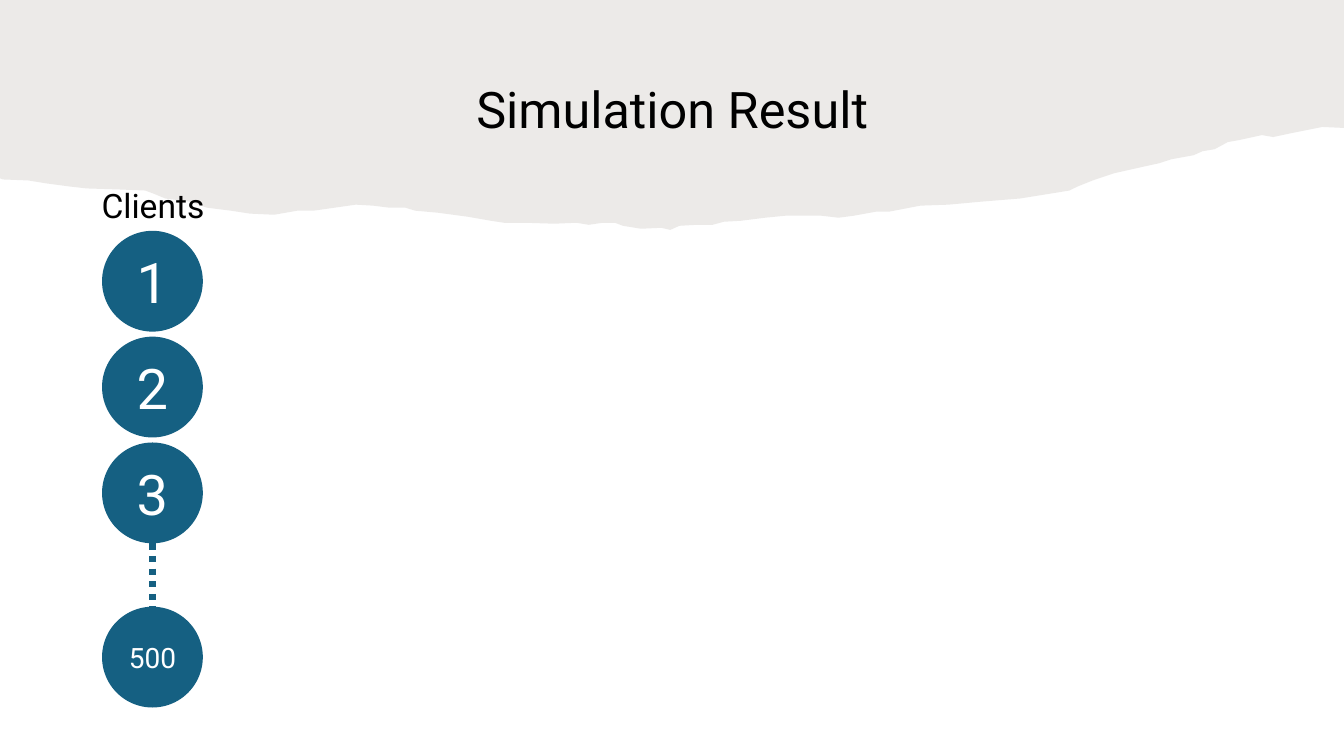
from lxml.etree import SubElement
from pptx import Presentation
from pptx.dml.color import RGBColor
from pptx.enum.dml import MSO_LINE_DASH_STYLE as Dash
from pptx.enum.shapes import MSO_CONNECTOR as Connector, MSO_SHAPE as Shape
from pptx.enum.text import MSO_ANCHOR as Anchor, MSO_AUTO_SIZE as AutoSize, PP_ALIGN as Align
from pptx.oxml.ns import qn
from pptx.util import Pt

COLORS = {"taupe": "82766A", "teal": "156082", "black": "000000", "white": "FFFFFF"}
SLIDE_WIDTH, SLIDE_HEIGHT = 960, 540
CIRCLE_LEFT, CIRCLE_SIZE = 72.9, 72
FIRST_TOP, CIRCLE_STEP, LAST_TOP = 164.9, 75.6, 433.4

# Lower edge of the torn paper, from right to left
TORN_EDGE = [
    (960, 91.4), (944.6, 90.7), (923, 95), (909.4, 97.9), (901.4, 96.5),
    (884.9, 100.1), (877, 101.5), (867.6, 106.6), (859, 108), (852.5, 110.9),
    (836.6, 113.8), (828, 116.6), (817.9, 118.8), (795.6, 123.8), (780.5, 128.9),
    (769.7, 133.2), (763.9, 136.1), (751, 138.2), (728.6, 141.8), (701.3, 144),
    (677.5, 146.2), (657.4, 146.9), (635, 151.2), (625.7, 151.2), (609.8, 154.1),
    (599, 155.5), (586.8, 154.1), (560.9, 154.1), (546.5, 155.5), (529.2, 157.7),
    (517, 158.4), (509, 160.6), (497.5, 160.6), (485.3, 161.3), (478.8, 164.2),
    (472.3, 162.7), (457.9, 163.4), (445, 161.3), (439.2, 159.1), (430.6, 159.1),
    (420.5, 160.6), (411.8, 159.1), (396, 159.8), (374.4, 159.1), (360, 159.1),
    (350.6, 157.7), (334.1, 154.8), (312.5, 151.9), (296.6, 150.5), (289.4, 148.3),
    (277.9, 148.3), (266.4, 146.9), (254.2, 146.2), (223.9, 150.5), (212.4, 150.5),
    (195.8, 153.4), (178.6, 152.6), (164.9, 150.5), (147.6, 148.3), (135.4, 144),
    (118.1, 141.8), (109.4, 138.2), (103.7, 136.1), (86.4, 135.4), (61.9, 134.6),
    (49.7, 133.2), (33.1, 131), (20.2, 128.9), (2.2, 128.2), (0, 127.4),
]


def color(name):
    return RGBColor.from_string(COLORS[name])


def set_format(target, values):
    for name, value in values.items():
        setattr(target, name, value)


def write_text(shape, text, size, color_name, frame_format, paragraph_format):
    frame = shape.text_frame
    set_format(frame, frame_format)
    paragraph = frame.paragraphs[0]
    set_format(paragraph, paragraph_format)
    run = paragraph.add_run()
    run.text = text
    set_format(run.font, {"name": "Roboto", "size": Pt(size)})
    run.font.color.rgb = color(color_name)


def paint(shape, color_name):
    shape.shadow.inherit = False
    shape.fill.solid()
    shape.fill.fore_color.rgb = color(color_name)
    shape.line.fill.background()


def add_torn_paper(slide):
    builder = slide.shapes.build_freeform(0, 0)
    outline = [(SLIDE_WIDTH, 0)] + TORN_EDGE
    builder.add_line_segments([(Pt(x), Pt(y)) for x, y in outline], close=True)
    paper = builder.convert_to_shape()
    paint(paper, "taupe")
    tint = paper.fill._xPr.find(qn("a:solidFill"))[0]
    SubElement(tint, qn("a:alpha"), val="15000")
    # The paper lies behind the title
    slide.shapes.title._element.addprevious(paper._element)


def add_title(slide, text):
    title = slide.shapes.title
    set_format(title, {"left": Pt(65.5), "top": Pt(38.9), "width": Pt(829.4), "height": Pt(64.1)})
    write_text(title, text, 36, "black",
               {"vertical_anchor": Anchor.BOTTOM, "auto_size": AutoSize.NONE},
               {"alignment": Align.CENTER, "line_spacing": 0.9})


def add_label(slide, text):
    label = slide.shapes.add_textbox(Pt(65.5), Pt(128.9), Pt(89.3), Pt(36))
    write_text(label, text, 24, "black",
               {"word_wrap": False, "auto_size": AutoSize.SHAPE_TO_FIT_TEXT}, {})


def add_client(slide, text, top, size):
    circle = slide.shapes.add_shape(
        Shape.OVAL, Pt(CIRCLE_LEFT), Pt(top), Pt(CIRCLE_SIZE), Pt(CIRCLE_SIZE))
    paint(circle, "teal")
    write_text(circle, text, size, "white",
               {"vertical_anchor": Anchor.MIDDLE}, {"alignment": Align.CENTER})
    return circle


def add_dotted_line(slide, upper, lower):
    middle = upper.left + upper.width // 2
    line = slide.shapes.add_connector(
        Connector.STRAIGHT, middle, upper.top + upper.height, middle, lower.top)
    line.end_connect(lower, 0)
    set_format(line.line, {"width": Pt(4.5), "dash_style": Dash.ROUND_DOT})
    line.line.color.rgb = color("teal")
    SubElement(line._element.spPr, qn("a:effectLst"))


def main():
    presentation = Presentation()
    set_format(presentation, {"slide_width": Pt(SLIDE_WIDTH), "slide_height": Pt(SLIDE_HEIGHT)})
    slide = presentation.slides.add_slide(presentation.slide_layouts[5])

    # Heading
    add_torn_paper(slide)
    add_title(slide, "Simulation Result")

    # Column of clients
    for index, number in enumerate("123"):
        third = add_client(slide, number, FIRST_TOP + index * CIRCLE_STEP, 40)
    last = add_client(slide, "500", LAST_TOP, 20)
    add_dotted_line(slide, third, last)
    add_label(slide, "Clients")

    presentation.save("out.pptx")


if __name__ == "__main__":
    main()
